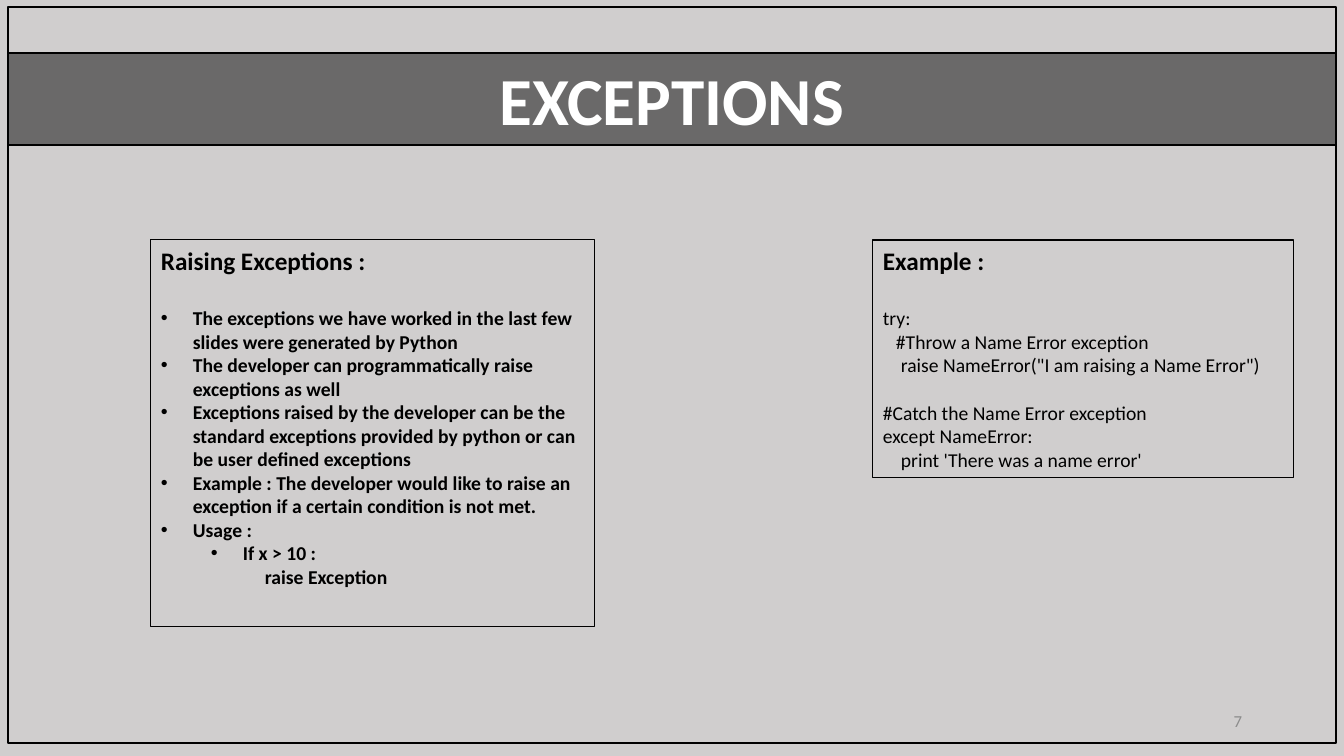
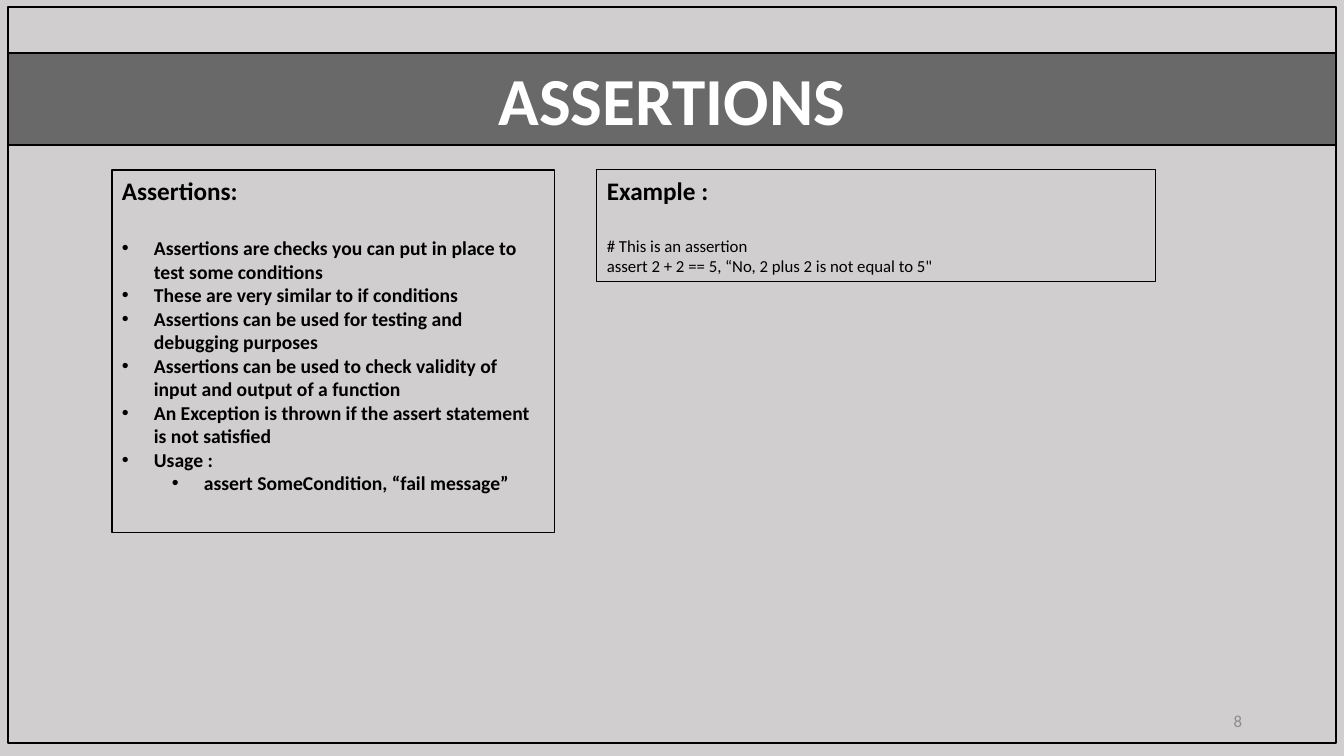
"""Build the two slides on exceptions and assertions in Python."""
from lxml.etree import SubElement
from pptx import Presentation
from pptx.dml.color import RGBColor
from pptx.enum.shapes import MSO_SHAPE
from pptx.enum.text import MSO_ANCHOR, PP_ALIGN
from pptx.oxml.ns import qn
from pptx.util import Emu, Pt

COLORS = {"page": "D0CECE", "ink": "000000", "title": "FFFFFF", "number": "8C8C8C"}
FONT = "Calibri"
SCALE = 914400 / 100.8
PAGE = (1344, 756)
FRAME = (8, 7, 1328, 736)
BAND = (8, 53, 1328, 92)
NUMBER = (950, 701, 302, 40)
BAND_ALPHA = 49
HANG = 32
LINE_HEIGHT = 1.22

# Each line: text, indent in pixels, bulleted, blank line above
SLIDES = [
    {
        "title": "EXCEPTIONS",
        "number": 7,
        "panels": [
            {
                "area": (151, 240, 444, 387),
                "heading": "Raising Exceptions :",
                "size": 14,
                "bold": True,
                "lines": [
                    ("The exceptions we have worked in the last few slides were generated by Python", 32, True, False),
                    ("The developer can programmatically raise exceptions as well", 32, True, False),
                    ("Exceptions raised by the developer can be the standard exceptions "
                     "provided by python or can be user defined exceptions", 32, True, False),
                    ("Example : The developer would like to raise an exception "
                     "if a certain condition is not met.", 32, True, False),
                    ("Usage :", 32, True, False),
                    ("If x > 10 :", 82, True, False),
                    ("raise Exception", 104, False, False),
                ],
            },
            {
                "area": (873, 240, 421, 238),
                "heading": "Example :",
                "size": 14,
                "bold": False,
                "lines": [
                    ("try:", 0, False, False),
                    ("#Throw a Name Error exception", 13, False, False),
                    ('raise NameError("I am raising a Name Error")', 18, False, False),
                    ("#Catch the Name Error exception", 0, False, True),
                    ("except NameError:", 0, False, False),
                    ("print 'There was a name error'", 18, False, False),
                ],
            },
        ],
    },
    {
        "title": "ASSERTIONS",
        "number": 8,
        "panels": [
            {
                "area": (112, 170, 443, 363),
                "heading": "Assertions:",
                "size": 14,
                "bold": True,
                "lines": [
                    ("Assertions are checks you can put in place to test some conditions", 32, True, False),
                    ("These are very similar to if conditions", 32, True, False),
                    ("Assertions can be used for testing and debugging purposes", 32, True, False),
                    ("Assertions can be used to check validity of input and output of a function", 32, True, False),
                    ("An Exception is thrown if the assert statement is not satisfied", 32, True, False),
                    ("Usage :", 32, True, False),
                    ("assert SomeCondition, “fail message”", 82, True, False),
                ],
            },
            {
                "area": (597, 170, 559, 112),
                "heading": "Example :",
                "size": 12,
                "bold": False,
                "lines": [
                    ("# This is an assertion", 0, False, False),
                    ('assert 2 + 2 == 5, “No, 2 plus 2 is not equal to 5"', 0, False, False),
                ],
            },
        ],
    },
]


def px(length):
    return Emu(round(length * SCALE))


def color(name):
    return RGBColor.from_string(COLORS[name])


def add_box(slide, area, line_width):
    box = slide.shapes.add_shape(MSO_SHAPE.RECTANGLE, *map(px, area))
    box.shadow.inherit = False
    box.fill.background()
    box.line.color.rgb = color("ink")
    box.line.width = Pt(line_width)
    box.text_frame.word_wrap = True
    box.text_frame.vertical_anchor = MSO_ANCHOR.TOP
    return box


def write(paragraph, text, size, ink="ink", bold=False, align=PP_ALIGN.LEFT):
    paragraph.text = text
    paragraph.alignment = align
    font = paragraph.font
    font.name, font.size, font.bold = FONT, Pt(size), bold
    font.color.rgb = color(ink)


def indent(paragraph, left, bulleted):
    properties = paragraph._p.get_or_add_pPr()
    properties.set("marL", str(px(left)))
    properties.set("indent", str(px(-HANG if bulleted else 0)))
    if bulleted:
        bullet_font = SubElement(properties, qn("a:buFont"), typeface="Arial")
        bullet = SubElement(properties, qn("a:buChar"), char="•")
        properties.insert(0, bullet)
        properties.insert(0, bullet_font)


def add_band(slide, title):
    band = add_box(slide, BAND, 1.75)
    band.fill.solid()
    band.fill.fore_color.rgb = color("ink")
    ink = band._element.spPr.find(qn("a:solidFill")).find(qn("a:srgbClr"))
    SubElement(ink, qn("a:alpha"), val=str(BAND_ALPHA * 1000))
    write(band.text_frame.paragraphs[0], title, 48, "title", True, PP_ALIGN.CENTER)


def add_panel(slide, panel):
    frame = add_box(slide, panel["area"], 0.75).text_frame
    heading = frame.paragraphs[0]
    write(heading, panel["heading"], 18, bold=True)
    heading.space_after = Pt(18 * LINE_HEIGHT)
    for text, left, bulleted, gap_above in panel["lines"]:
        paragraph = frame.add_paragraph()
        if gap_above:
            paragraph.space_before = Pt(panel["size"] * LINE_HEIGHT)
        indent(paragraph, left, bulleted)
        write(paragraph, text, panel["size"], bold=panel["bold"])


def add_number(slide, number):
    frame = slide.shapes.add_textbox(*map(px, NUMBER)).text_frame
    frame.word_wrap = True
    frame.vertical_anchor = MSO_ANCHOR.MIDDLE
    write(frame.paragraphs[0], str(number), 12, "number", align=PP_ALIGN.RIGHT)


deck = Presentation()
deck.slide_width, deck.slide_height = map(px, PAGE)
for content in SLIDES:
    slide = deck.slides.add_slide(deck.slide_layouts[6])
    slide.background.fill.solid()
    slide.background.fill.fore_color.rgb = color("page")
    add_box(slide, FRAME, 1.75)
    add_band(slide, content["title"])
    for panel in content["panels"]:
        add_panel(slide, panel)
    add_number(slide, content["number"])
deck.save("out.pptx")
